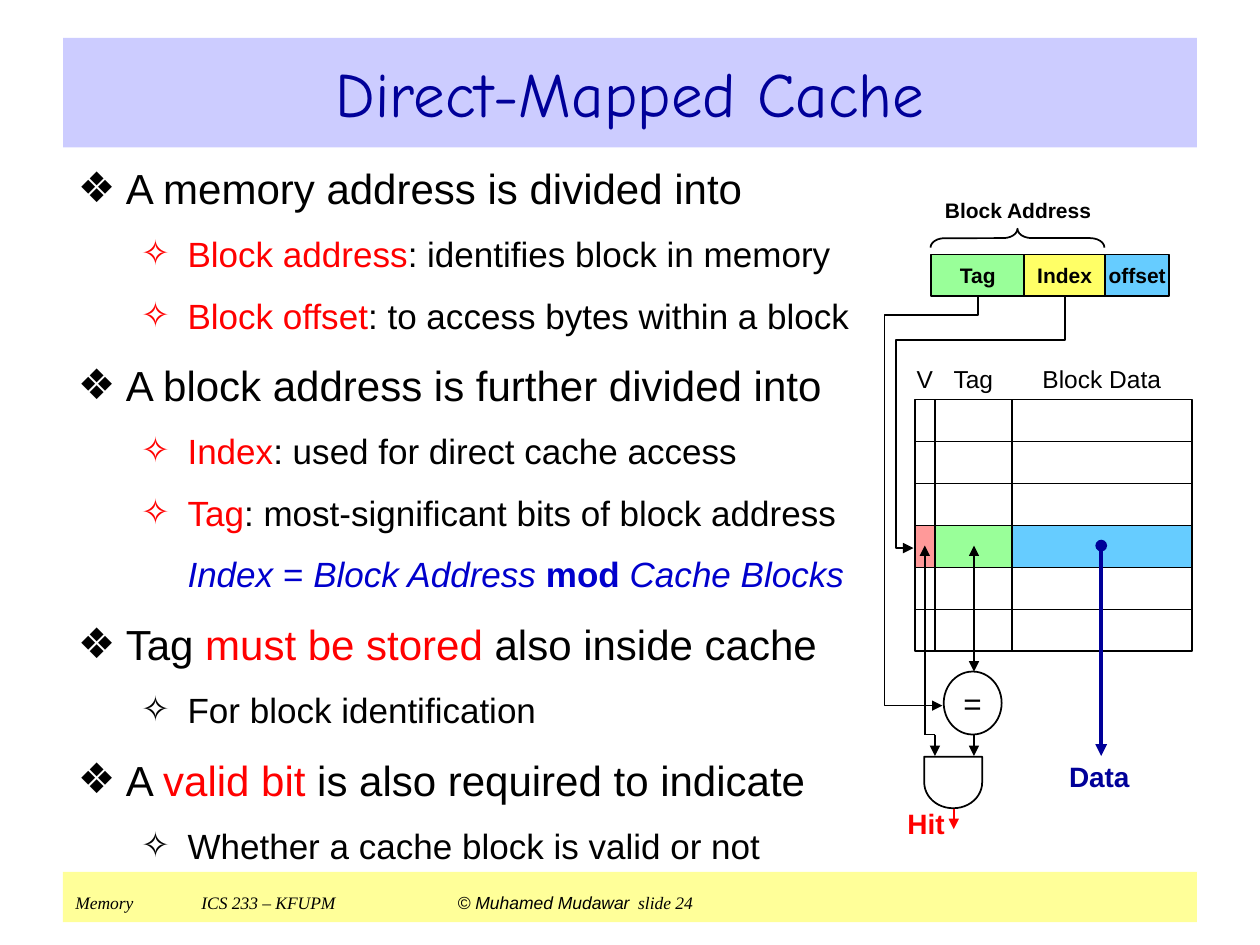
from lxml.etree import SubElement as Sub
from pptx import Presentation
from pptx.dml.color import RGBColor
from pptx.enum.shapes import MSO_CONNECTOR as Conn, MSO_SHAPE as Kind
from pptx.enum.text import MSO_ANCHOR as Anchor, MSO_AUTO_SIZE as Fit, PP_ALIGN as Align
from pptx.oxml.ns import qn
from pptx.util import Inches, Pt

BLACK, WHITE, RED = "000000", "FFFFFF", "FF0000"
NAVY, BLUE = "000099", "0000CC"
GREEN, SKY, PINK, YELLOW = "99FF99", "66CCFF", "FF9999", "FFFF66"


def tint(code):
    return RGBColor.from_string(code)


class Page:
    """Holds the style and the current slide."""

    font = "Arial"
    thin = 1

    def __init__(self, deck):
        self.slide = deck.slides.add_slide(deck.slide_layouts[5])
        self.shapes = self.slide.shapes

    def place(self, item, box):
        names = ("left", "top", "width", "height")
        for name, size in zip(names, box):
            setattr(item, name, Inches(size))

    def frame(self, item, inset=0.0, anchor=Anchor.MIDDLE, wrap=False):
        frame = item.text_frame
        look = {"word_wrap": wrap, "auto_size": Fit.NONE, "vertical_anchor": anchor}
        if inset is not None:
            look |= {"margin_left": Inches(inset), "margin_right": Inches(inset),
                     "margin_top": Inches(inset / 2), "margin_bottom": Inches(inset / 2)}
        for name, value in look.items():
            setattr(frame, name, value)
        return frame

    def run(self, para, text, size, color=BLACK, **look):
        run = para.add_run()
        run.text = text
        run.font.color.rgb = tint(color)
        look = {"name": self.font, "size": Pt(size), "bold": False, "italic": False} | look
        for name, value in look.items():
            setattr(run.font, name, value)

    def title(self, text, box, fill, size, color, font):
        item = self.shapes.title
        self.place(item, box)
        item.fill.solid()
        item.fill.fore_color.rgb = tint(fill)
        para = self.frame(item, 0.1, wrap=True).paragraphs[0]
        para.alignment = Align.CENTER
        self.run(para, text, size, color, name=font)

    def shape(self, kind, box, fill=None, line=BLACK, turn=0):
        item = self.shapes.add_shape(kind, *map(Inches, box))
        item.shadow.inherit = False
        item.rotation = turn
        self.paint(item, fill, line)
        return item

    def paint(self, item, fill, line):
        if fill:
            item.fill.solid()
            item.fill.fore_color.rgb = tint(fill)
        else:
            item.fill.background()
        if line:
            item.line.color.rgb = tint(line)
            item.line.width = Pt(self.thin)
        else:
            item.line.fill.background()

    def label(self, text, box, size, color=BLACK, bold=False, item=None):
        item = item or self.shapes.add_textbox(*map(Inches, box))
        para = self.frame(item).paragraphs[0]
        para.alignment = Align.CENTER
        self.run(para, text, size, color, bold=bold)

    def ends(self, item, head, tail):
        for name, kind in (("a:headEnd", head), ("a:tailEnd", tail)):
            if kind:
                Sub(item.line._get_or_add_ln(), qn(name), type=kind)

    def line(self, start, end, color=BLACK, width=1, head=None, tail=None):
        item = self.shapes.add_connector(Conn.STRAIGHT, *map(Inches, start + end))
        Sub(item._element.spPr, qn("a:effectLst"))
        item.line.color.rgb = tint(color)
        item.line.width = Pt(width)
        self.ends(item, head, tail)

    def route(self, first, *rest):
        pen = self.shapes.build_freeform(*map(Inches, first), scale=1.0)
        pen.add_line_segments([tuple(map(Inches, spot)) for spot in rest], close=False)
        item = pen.convert_to_shape()
        item.shadow.inherit = False
        self.paint(item, None, BLACK)
        self.ends(item, None, "triangle")

    def points(self, box, rows):
        frame = self.frame(self.shapes.add_textbox(*map(Inches, box)), 0.1, Anchor.TOP, True)
        for i, (level, mark, runs) in enumerate(rows):
            para = frame.add_paragraph() if i else frame.paragraphs[0]
            left, hang, size, gap = ((0.38, 0.38, 24, 13.5), (0.87, 0.37, 20, 11.2))[level]
            props = para._p.get_or_add_pPr()
            props.set("marL", str(Inches(left)))
            props.set("indent", str(-Inches(hang) if mark else 0))
            if mark:
                Sub(Sub(props, qn("a:buClr")), qn("a:srgbClr"), val=mark)
                Sub(props, qn("a:buFont"), typeface=self.font)
                Sub(props, qn("a:buChar"), char="❖✧"[level])
            else:
                Sub(props, qn("a:buNone"))
            para.level = level
            para.space_before = Pt(gap if i else 0)
            for text, color, *look in runs:
                self.run(para, text, size, color, **dict.fromkeys(look, True))

    def footer(self, box, fill, runs, stops):
        item = self.shape(Kind.RECTANGLE, box, fill, None)
        para = self.frame(item, 0.1, Anchor.TOP, True).paragraphs[0]
        para.alignment = Align.LEFT
        tabs = Sub(para._p.get_or_add_pPr(), qn("a:tabLst"))
        for stop in stops:
            Sub(tabs, qn("a:tab"), pos=str(Inches(stop)), algn="l")
        for text, font, size in runs:
            self.run(para, text, size, name=font, italic=size == 10)


def main():
    deck = Presentation()
    deck.slide_width, deck.slide_height = Inches(10), Inches(7.5)
    page = Page(deck)

    # Footer band and title
    serif = "Times New Roman"
    page.footer((0.5, 6.92, 9, 0.4), "FFFF99", [
        ("Memory\tICS 233 – KFUPM\t ", serif, 10), ("© Muhamed Mudawar", "Arial", 10),
        (" ", "Arial", 18), ("slide 24", serif, 10)], (1, 3))
    page.title("Direct-Mapped Cache", (0.5, 0.3, 9, 0.87), "CCCCFF", 36, NAVY, "Comic Neue")

    # Bullet text: level, bullet colour, runs
    page.points((0.52, 1.24, 6.35, 5.6), [
        (0, BLACK, [("A memory address is divided into", BLACK)]),
        (1, RED, [("Block address", RED), (": identifies block in memory", BLACK)]),
        (1, RED, [("Block offset", RED), (": to access bytes within a block", BLACK)]),
        (0, BLACK, [("A block address is further divided into", BLACK)]),
        (1, RED, [("Index", RED), (": used for direct cache access", BLACK)]),
        (1, RED, [("Tag", RED), (": most-significant bits of block address", BLACK)]),
        (1, None, [("Index", BLUE, "italic"), (" = ", BLUE),
                   ("Block Address ", BLUE, "italic"), ("mod ", BLUE, "bold"),
                   ("Cache Blocks", BLUE, "italic")]),
        (0, BLACK, [("Tag ", BLACK), ("must be stored", RED), (" also inside cache", BLACK)]),
        (1, BLACK, [("For block identification", BLACK)]),
        (0, BLACK, [("A ", BLACK), ("valid bit", RED),
                    (" is also required to indicate", BLACK)]),
        (1, BLACK, [("Whether a cache block is valid or not", BLACK)])])

    # Cache grid: six rows, with the chosen row in colour
    edges, top, step, count, hit = (7.26, 7.42, 8.03, 9.46), 3.17, 1 / 3, 6, 3
    left, right, low = edges[0], edges[-1], top + count * step
    page.shape(Kind.RECTANGLE, (left, top, right - left, low - top), WHITE)
    for row in range(1, count):
        page.line((left, top + row * step), (right, top + row * step))
    for x in edges[1:-1]:
        page.line((x, top), (x, low))
    heads = ("V", PINK), ("Tag", GREEN), ("Block Data", SKY)
    for x, end, (name, fill) in zip(edges, edges[1:], heads):
        page.label(name, (x, 2.8, end - x, 0.41), 14)
        page.shape(Kind.RECTANGLE, (x, top + hit * step, end - x, step), fill)

    # Tag compare, AND gate and outputs
    tip = "triangle"
    page.line((8.74, 4.33), (8.74, 6), NAVY, 2.25, "oval", tip)
    page.line((7.73, 4.33), (7.73, 5.33), head=tip, tail=tip)
    page.shape(Kind.FLOWCHART_DELAY, (7.36, 5.98, 0.41, 0.46), WHITE, turn=90)
    ring = (7.49, 5.33, 0.46, 0.5)
    page.label("=", ring, 18, item=page.shape(Kind.OVAL, ring, WHITE))
    for x in (7.42, 7.73):
        page.line((x, 5.83), (x, 6), tail=tip)
    page.line((7.42, 5.83), (7.34, 5.83))
    page.line((7.34, 4.33), (7.34, 5.83), head=tip)
    page.line((7.57, 6.42), (7.57, 6.58), RED, tail=tip)
    page.label("Hit", (7.12, 6.37, 0.46, 0.33), 16, RED, True)
    page.label("Data", (8.46, 6, 0.53, 0.33), 16, NAVY, True)

    # Address fields under their brace
    x = 7.39
    for name, wide, fill in (("Tag", 0.74, GREEN), ("Index", 0.64, YELLOW),
                             ("offset", 0.51, SKY)):
        box = (x, 2.02, wide, 0.33)
        page.label(name, box, 12, bold=True, item=page.shape(Kind.RECTANGLE, box, fill))
        x += wide
    page.label("Block Address", (7.39, 1.57, 1.38, 0.2), 12, bold=True)
    brace = page.shape(Kind.LEFT_BRACE, (8, 1.2, 0.15, 1.38), turn=90)
    brace.adjustments[0] = 0.75

    # Routes from the fields to the row and the compare
    page.route((8.45, 2.35), (8.45, 2.7), (7.11, 2.7), (7.11, 4.35), (7.25, 4.35))
    page.route((7.76, 2.35), (7.76, 2.5), (7.02, 2.5), (7.02, 5.6), (7.48, 5.6))

    deck.save("out.pptx")


if __name__ == "__main__":
    main()
